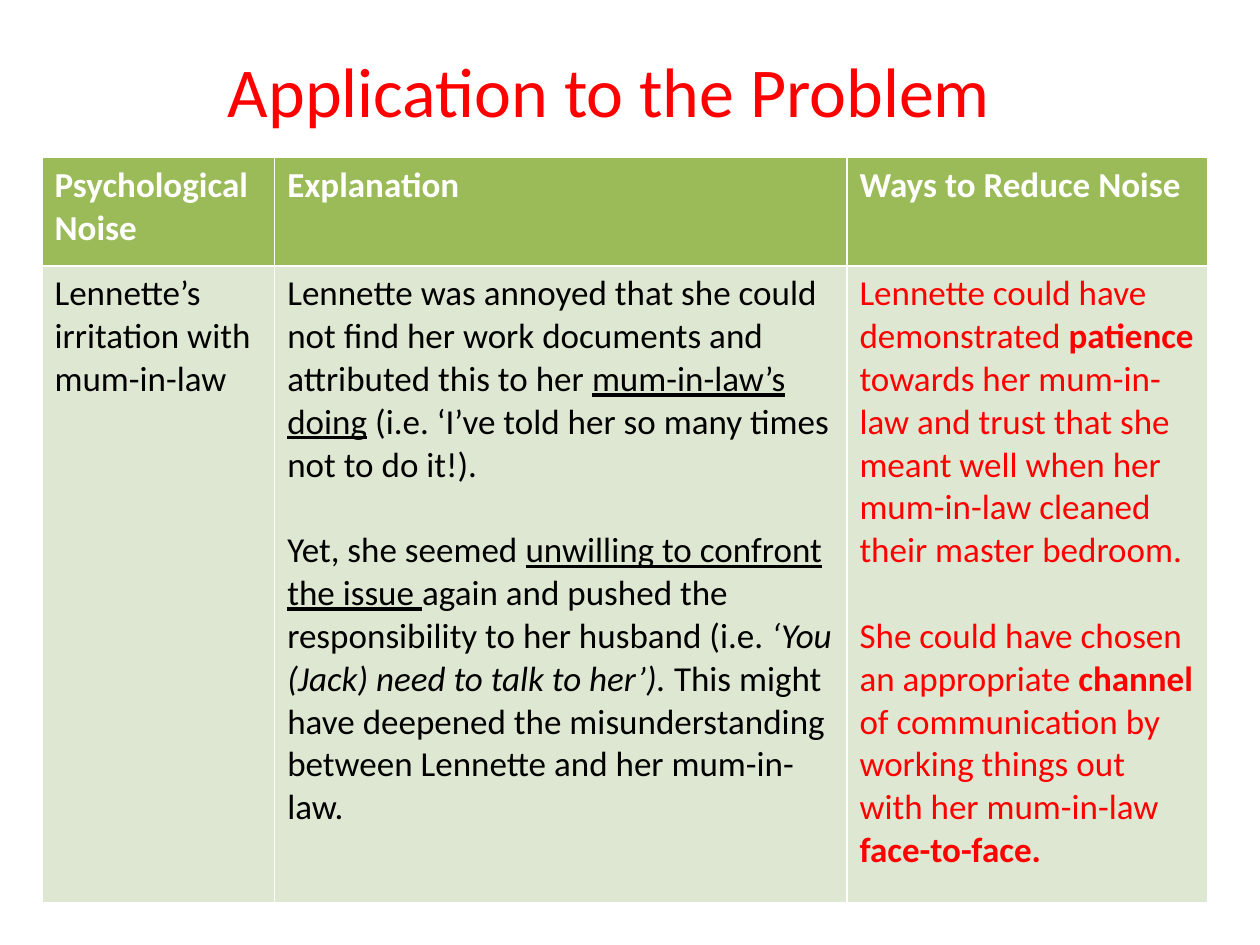
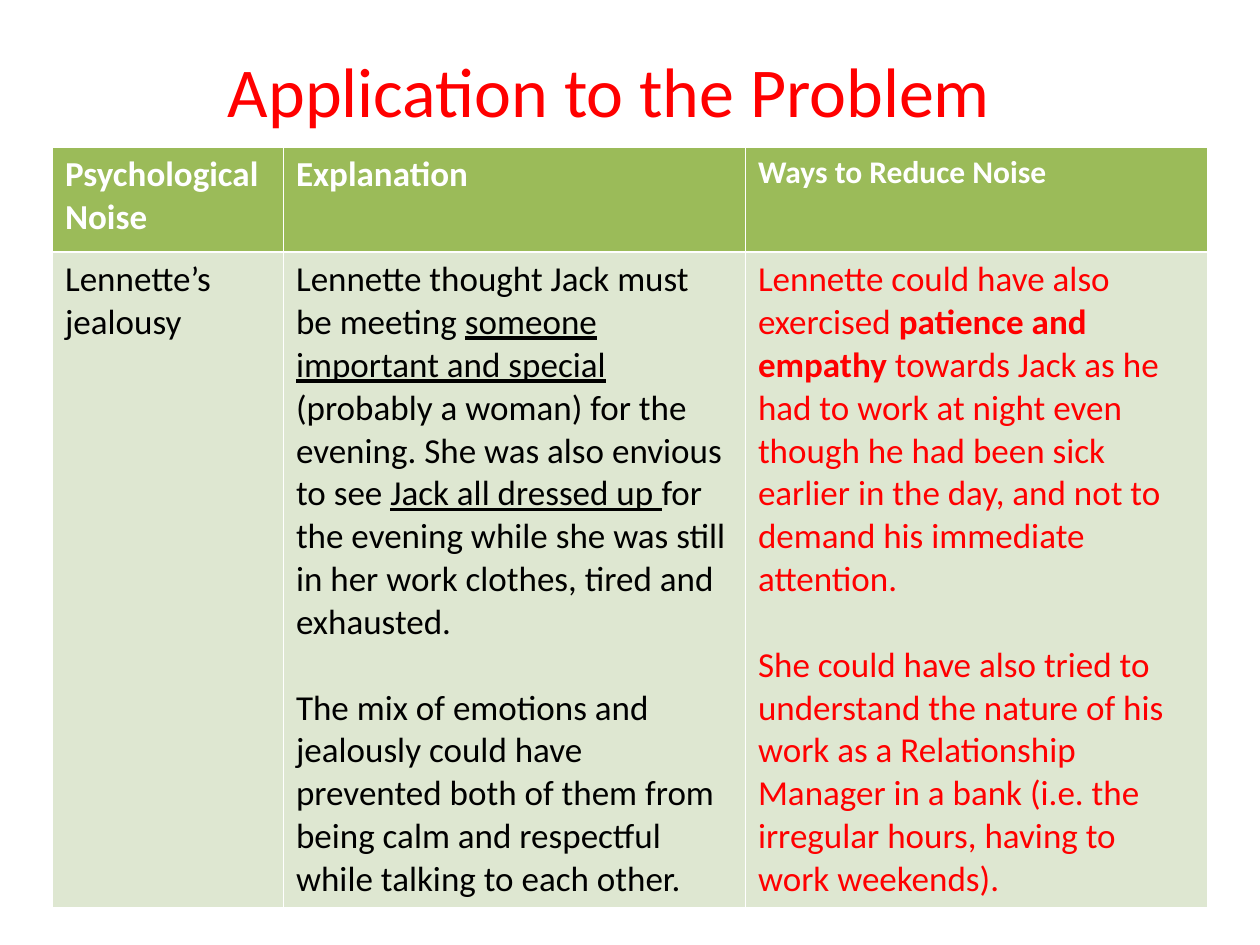
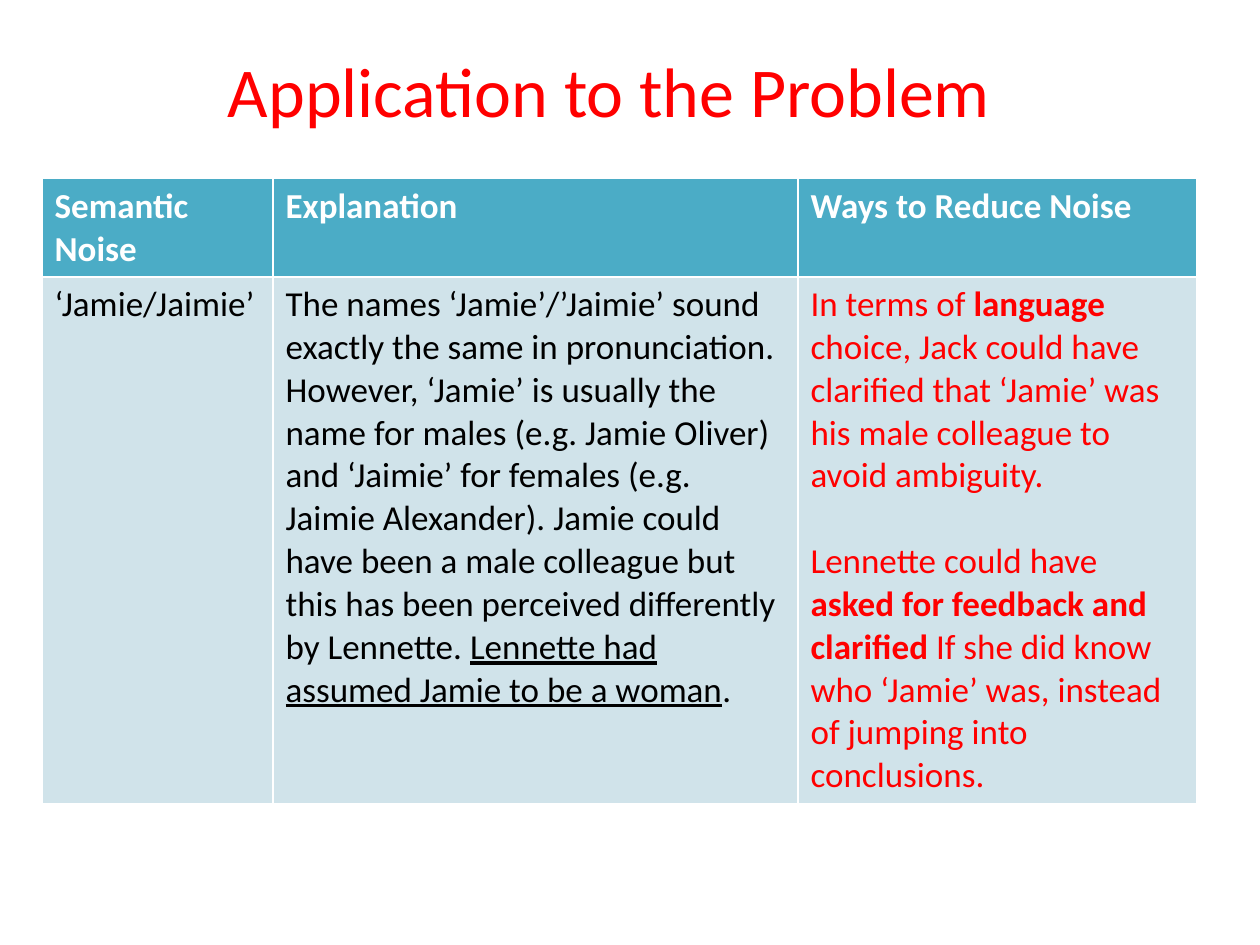
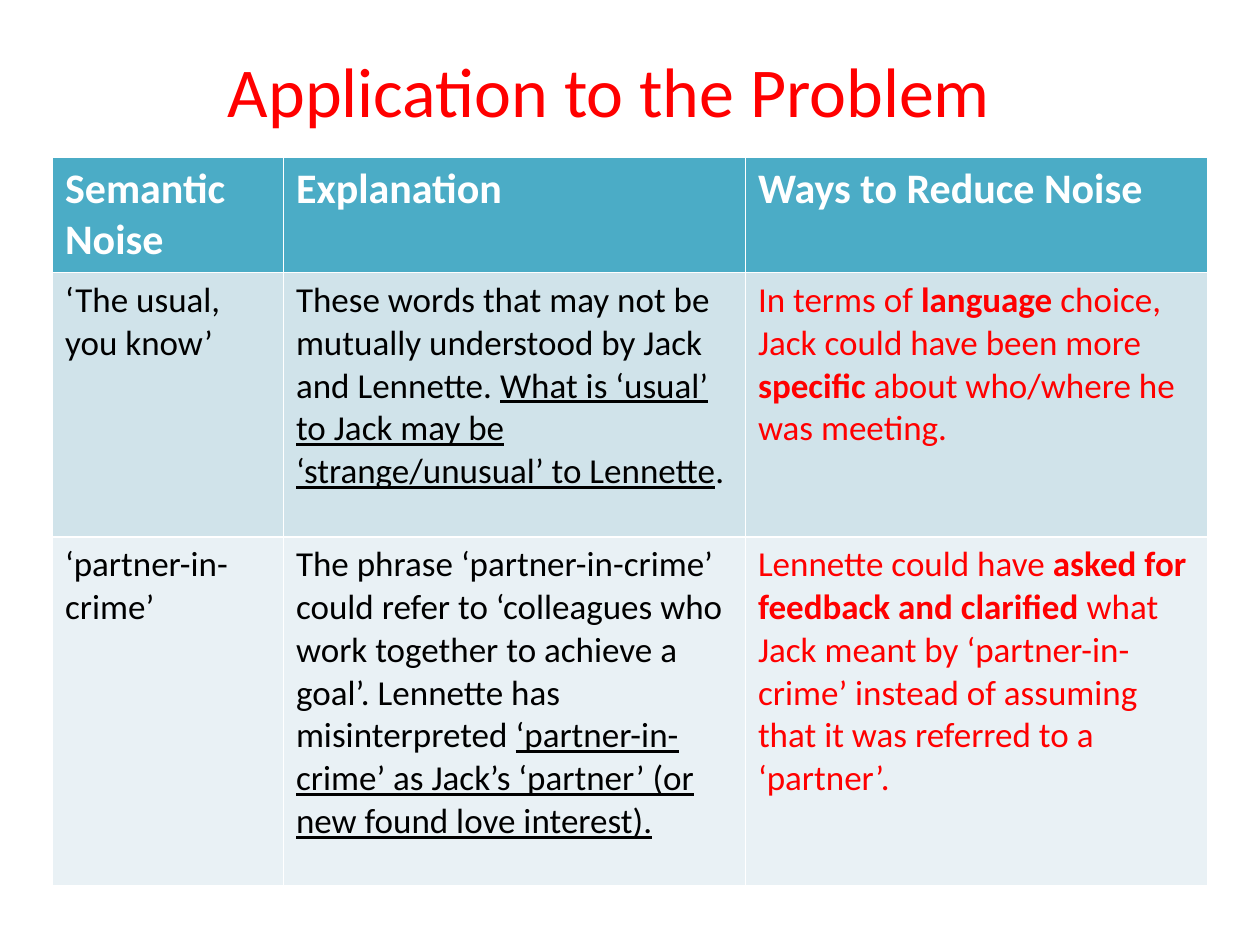
from pptx import Presentation
from pptx.dml.color import RGBColor
from pptx.enum.text import MSO_ANCHOR, PP_ALIGN
from pptx.util import Pt

FONT = "Calibri"
TITLE = "Application to the Problem"
RED = RGBColor(0xFF, 0x00, 0x00)
BLACK = RGBColor(0x00, 0x00, 0x00)
WHITE = RGBColor(0xFF, 0xFF, 0xFF)
# Fills by row: header, first body row, second body row
GREEN_ROWS = [RGBColor(0x9B, 0xBB, 0x59), RGBColor(0xDE, 0xE7, 0xD1)]
BLUE_ROWS = [RGBColor(0x4B, 0xAC, 0xC6), RGBColor(0xD0, 0xE3, 0xEA),
             RGBColor(0xE9, 0xF1, 0xF5)]
BODY_COLORS = [BLACK, BLACK, RED]
PARAGRAPH_GAP = 24.4


def add_run(p, text, size=20, color=BLACK, bold=False, italic=False, underline=False):
    r = p.add_run()
    r.text = text
    r.font.name = FONT
    r.font.size = Pt(size)
    r.font.color.rgb = color
    r.font.bold = bold
    r.font.italic = italic
    r.font.underline = underline


# A cell is a list of paragraphs, a paragraph a list of runs.
# A run is plain text or a pair of text and its emphasis.
slides = [
    dict(
        noise="Psychological Noise", fills=GREEN_ROWS, header_sizes=[20, 20, 20],
        left=24, top=90, widths=[133, 327, 206], heights=[62, 364],
        body=[[
            [["Lennette’s irritation with mum-in-law"]],
            [["Lennette was annoyed that she could not find her work documents "
              "and attributed this to her ",
              ("mum-in-law’s doing", "underline"),
              " (i.e. ‘I’ve told her so many times not to do it!)."],
             ["Yet, she seemed ",
              ("unwilling to confront the issue ", "underline"),
              "again and pushed the responsibility to her husband (i.e. ",
              ("‘You (Jack) need to talk to her’). ", "italic"),
              "This might have deepened the misunderstanding between Lennette "
              "and her mum-in-law."]],
            [["Lennette could have demonstrated ",
              ("patience ", "bold"),
              "towards her mum-in-law and trust that she meant well when her "
              "mum-in-law cleaned their master bedroom."],
             ["She could have chosen an appropriate ",
              ("channel", "bold"),
              " of communication by working things out with her mum-in-law ",
              ("face-to-face.", "bold")]],
        ]],
    ),
    dict(
        noise="Psychological Noise", fills=GREEN_ROWS, header_sizes=[20, 20, 18],
        left=30, top=84, widths=[132, 264, 264], heights=[60, 367],
        body=[[
            [["Lennette’s jealousy"]],
            [["Lennette thought Jack must be meeting ",
              ("someone important and special ", "underline"),
              "(probably a woman) for the evening. She was also envious to see ",
              ("Jack all dressed up ", "underline"),
              "for the evening while she was still in her work clothes, tired "
              "and exhausted."],
             ["The mix of emotions and jealously could have prevented both of "
              "them from being calm and respectful while talking to each other."]],
            [["Lennette could have also exercised ",
              ("patience and empathy", "bold"),
              " towards Jack as he had to work at night even though he had been "
              "sick earlier in the day, and not to demand his immediate attention."],
             ["She could have also tried to understand the nature of his work as "
              "a Relationship Manager in a bank (i.e. the irregular hours, having "
              "to work weekends)."]],
        ]],
    ),
    dict(
        noise="Semantic Noise", fills=BLUE_ROWS, header_sizes=[20, 20, 20],
        left=24, top=102, widths=[132, 300, 228], heights=[55.5, 295],
        body=[[
            [["‘Jamie/Jaimie’"]],
            [["The names ‘Jamie’/’Jaimie’ sound exactly the same in pronunciation. "
              "However, ‘Jamie’ is usually the name for males (e.g. Jamie Oliver) "
              "and ‘Jaimie’ for females (e.g. Jaimie Alexander). Jamie could have "
              "been a male colleague but this has been perceived differently by "
              "Lennette. ",
              ("Lennette had assumed Jamie to be a woman", "underline"),
              "."]],
            [["In terms of ",
              ("language ", "bold"),
              "choice, Jack could have clarified that ‘Jamie’ was his male "
              "colleague to avoid ambiguity."],
             ["Lennette could have ",
              ("asked for feedback and clarified ", "bold"),
              "If she did know who ‘Jamie’ was, instead of jumping into "
              "conclusions."]],
        ]],
    ),
    dict(
        noise="Semantic Noise", fills=BLUE_ROWS, header_sizes=[24, 24, 24],
        left=30, top=90, widths=[132, 264, 264], heights=[65, 151, 199.5],
        body=[[
            [["‘The usual, you know’"]],
            [["These words that may not be mutually understood by Jack and "
              "Lennette. ",
              ("What is ‘usual’ to Jack may be ‘strange/unusual’ to Lennette",
               "underline"),
              "."]],
            [["In terms of ",
              ("language ", "bold"),
              "choice, Jack could have been more ",
              ("specific", "bold"),
              " about who/where he was meeting."]],
        ], [
            [["‘partner-in-crime’"]],
            [["The phrase ‘partner-in-crime’ could refer to ‘colleagues who work "
              "together to achieve a goal’. Lennette has misinterpreted ",
              ("‘partner-in-crime’ as Jack’s ‘partner’ (or new found love "
               "interest).", "underline")]],
            [["Lennette could have ",
              ("asked for feedback and clarified ", "bold"),
              "what Jack meant by ‘partner-in-crime’ instead of assuming that it "
              "was referred to a ‘partner’."]],
        ]],
    ),
]

prs = Presentation()
prs.slide_width, prs.slide_height = Pt(720), Pt(540)

for content in slides:
    s = prs.slides.add_slide(prs.slide_layouts[5])

    title = s.shapes.title
    title.left, title.top, title.width, title.height = Pt(48), Pt(6), Pt(600), Pt(90)
    title.text_frame.vertical_anchor = MSO_ANCHOR.MIDDLE
    p = title.text_frame.paragraphs[0]
    p.alignment = PP_ALIGN.CENTER
    add_run(p, TITLE, size=40, color=RED)

    widths, heights = content["widths"], content["heights"]
    table = s.shapes.add_table(
        len(heights), len(widths), Pt(content["left"]), Pt(content["top"]),
        Pt(sum(widths)), Pt(sum(heights))).table
    for column, width in zip(table.columns, widths):
        column.width = Pt(width)
    for row, height, fill in zip(table.rows, heights, content["fills"]):
        row.height = Pt(height)
        for cell in row.cells:
            cell.fill.solid()
            cell.fill.fore_color.rgb = fill

    headers = [content["noise"], "Explanation", "Ways to Reduce Noise"]
    for col, (header, size) in enumerate(zip(headers, content["header_sizes"])):
        p = table.cell(0, col).text_frame.paragraphs[0]
        add_run(p, header, size=size, color=WHITE, bold=True)

    for row, cells in enumerate(content["body"], start=1):
        for col, paragraphs in enumerate(cells):
            tf = table.cell(row, col).text_frame
            for i, runs in enumerate(paragraphs):
                p = tf.add_paragraph() if i else tf.paragraphs[0]
                if i:
                    p.space_before = Pt(PARAGRAPH_GAP)
                for run in runs:
                    text, emphasis = (run, None) if isinstance(run, str) else run
                    style = {emphasis: True} if emphasis else {}
                    add_run(p, text, color=BODY_COLORS[col], **style)

prs.save("out.pptx")
